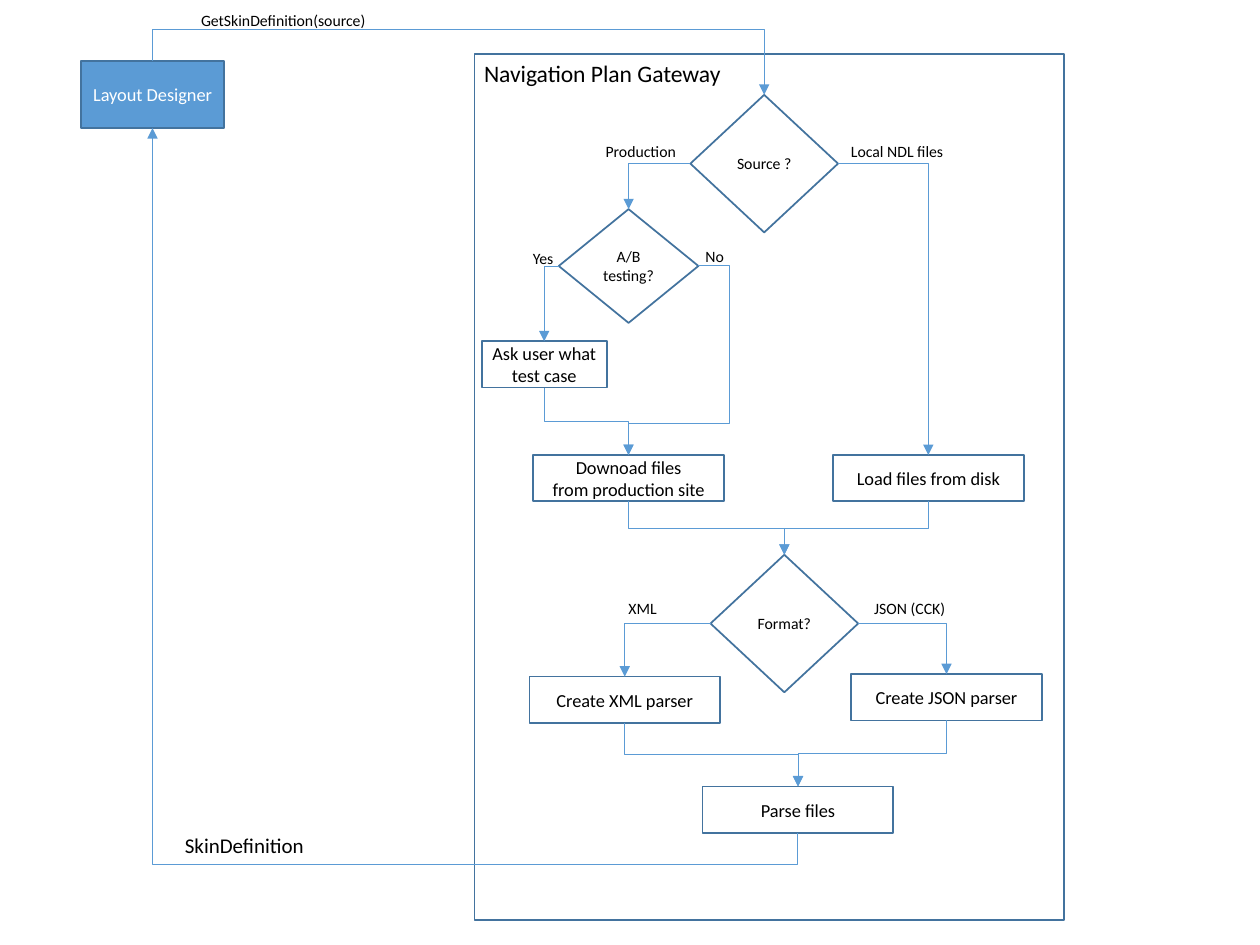
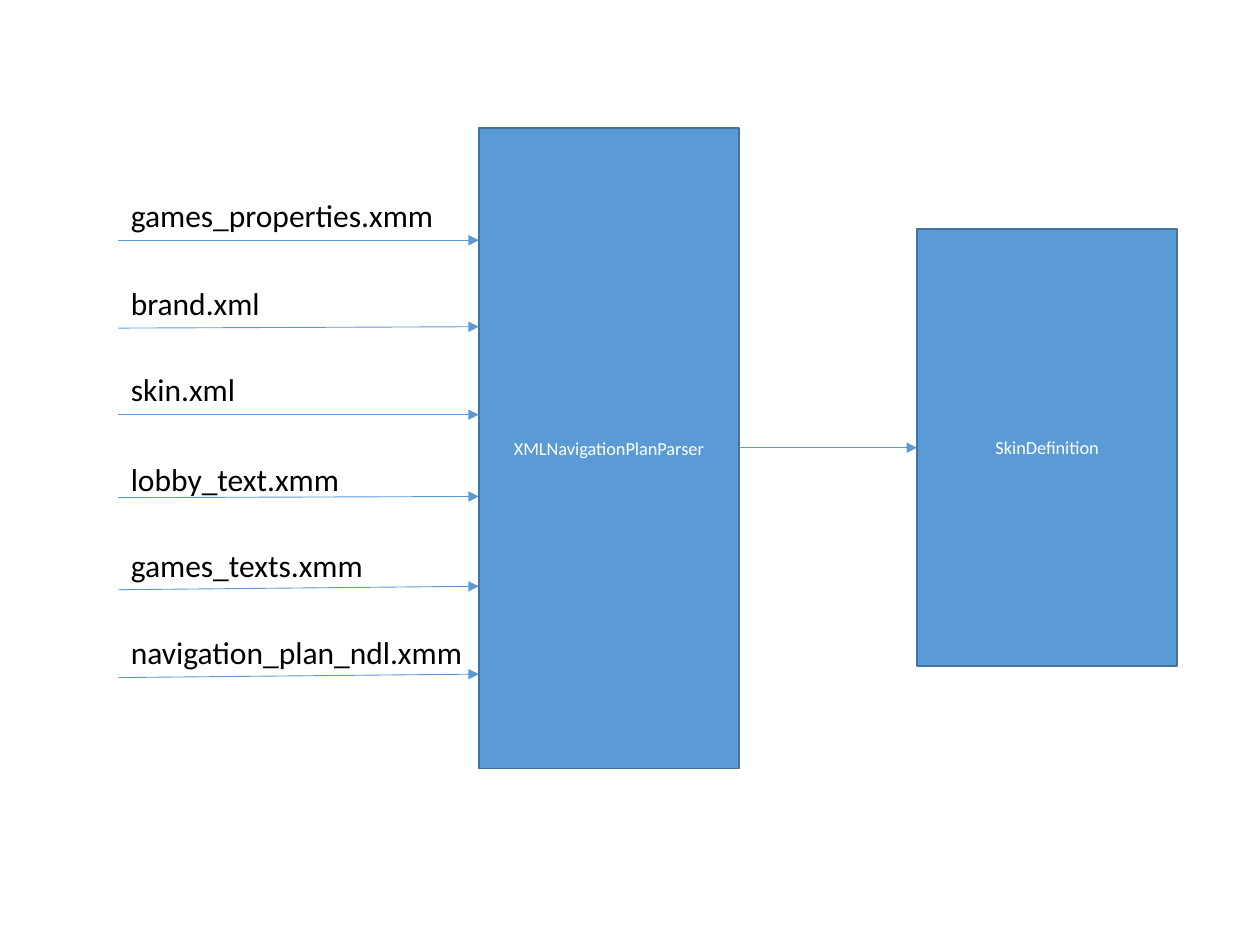
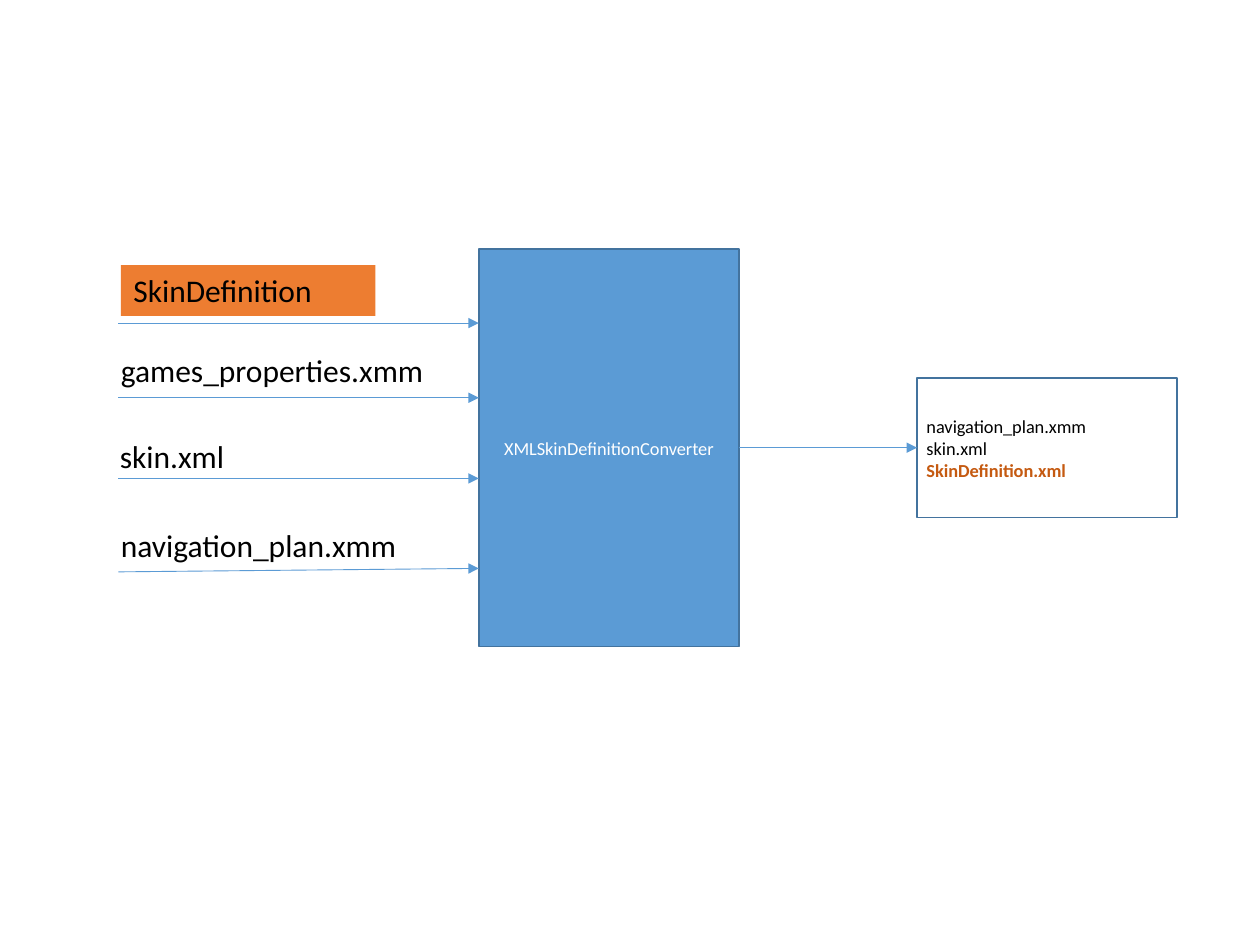
from lxml import etree
from pptx import Presentation
from pptx import util as u
from pptx.dml.color import RGBColor
from pptx.enum import shapes, text
from pptx.oxml.ns import qn

Pt = u.Pt
COLORS = {
    "blue": "5B9BD5", "outline": "43739E", "orange": "ED7D31",
    "rust": "C55A11", "black": "000000", "white": "FFFFFF",
}
RGB = {name: RGBColor.from_string(value) for name, value in COLORS.items()}
RECTANGLE = shapes.MSO_SHAPE.RECTANGLE
DIAMOND = shapes.MSO_SHAPE.DIAMOND
TOP, LEFT, BOTTOM, RIGHT = range(4)  # connection sites

presentation = Presentation()
presentation.slide_width, presentation.slide_height = Pt(720), Pt(540)
blank = presentation.slide_layouts[6]


def add_text_shape(slide, kind, words, place, size, fill=None, centred=True):
    """Add an outlined shape, or a plain label when kind is None."""
    left, top, width, height = map(Pt, place)
    if kind is None:
        shape = slide.shapes.add_textbox(left, top, width, height)
    else:
        shape = slide.shapes.add_shape(kind, left, top, width, height)
        shape.shadow.inherit = False
        shape.line.color.rgb = RGB["outline"]
        shape.line.width = Pt(1)
        shape.fill.background()
    if fill:
        shape.fill.solid()
        shape.fill.fore_color.rgb = RGB[fill]
    frame = shape.text_frame
    frame.text = words
    frame.word_wrap = kind is not None
    if kind is None:
        frame.auto_size = text.MSO_AUTO_SIZE.SHAPE_TO_FIT_TEXT
    else:
        frame.margin_left = frame.margin_right = Pt(5.4)
        frame.margin_top = frame.margin_bottom = Pt(2.7)
        frame.vertical_anchor = text.MSO_ANCHOR.MIDDLE
    for paragraph in frame.paragraphs:
        in_middle = kind is not None and centred
        paragraph.alignment = text.PP_ALIGN.CENTER if in_middle else text.PP_ALIGN.LEFT
        paragraph.font.name = "Calibri"
        paragraph.font.size = Pt(size)
        paragraph.font.color.rgb = RGB["white" if fill == "blue" else "black"]
    return shape


def add_arrow(slide, kind, start=(0, 0), end=(0, 0)):
    connector = slide.shapes.add_connector(kind, *map(Pt, start + end))
    connector.line.color.rgb = RGB["blue"]
    connector.line.width = Pt(0.5)
    properties = connector._element.spPr
    etree.SubElement(properties.find(qn("a:ln")), qn("a:tailEnd"), type="triangle")
    etree.SubElement(properties, qn("a:effectLst"))
    return connector


# Slide 1: flowchart
slide = presentation.slides.add_slide(blank)
gateway = add_text_shape(slide, RECTANGLE, "Navigation Plan Gateway",
                         (271.2, 31, 337, 494.6), 13.5, centred=False)
gateway.text_frame.vertical_anchor = text.MSO_ANCHOR.TOP

step, decision = (109, 26.5), (84.4, 78.6)
nodes = {}
for name, kind, words, centre, top, (width, height), size, fill in [
    ("designer", RECTANGLE, "Layout Designer", 87.2, 34.8, (81.6, 38.4), 10.5, "blue"),
    ("source", DIAMOND, "Source ?", 436.7, 54.2, decision, 9, None),
    ("testing", DIAMOND, "A/B testing?", 359.2, 119.5, (79.8, 65), 9, None),
    ("ask", RECTANGLE, "Ask user what\ntest case", 311, 195, (71.4, 26.5), 10.5, None),
    ("download", RECTANGLE, "Downoad files\nfrom production site", 359.2, 260, step, 10.5, None),
    ("load", RECTANGLE, "Load files from disk", 530.5, 260, step, 10.5, None),
    ("format", DIAMOND, "Format?", 448.2, 317, decision, 9, None),
    ("xml", RECTANGLE, "Create XML parser", 357, 386.6, step, 10.5, None),
    ("json", RECTANGLE, "Create JSON parser", 540.9, 385.2, step, 10.5, None),
    ("parse", RECTANGLE, "Parse files", 456, 449.4, step, 10.5, None),
]:
    place = (centre - width / 2, top, width, height)
    nodes[name] = add_text_shape(slide, kind, words, place, size, fill)

# Elbow arrows: bends are percentages of the way from start to end
for start, start_site, end, end_site, bends in [
    ("designer", TOP, "source", TOP, [-94]),
    ("source", LEFT, "testing", TOP, []),
    ("source", RIGHT, "load", TOP, []),
    ("testing", LEFT, "ask", TOP, []),
    ("testing", RIGHT, "download", TOP, [-45.2, 83.1]),
    ("ask", BOTTOM, "download", TOP, [50]),
    ("download", BOTTOM, "format", TOP, [50]),
    ("load", BOTTOM, "format", TOP, [50]),
    ("format", LEFT, "xml", TOP, []),
    ("format", RIGHT, "json", TOP, []),
    ("xml", BOTTOM, "parse", TOP, [50]),
    ("json", BOTTOM, "parse", TOP, [50]),
    ("parse", BOTTOM, "designer", BOTTOM, [-4.5]),
]:
    connector = add_arrow(slide, shapes.MSO_CONNECTOR.ELBOW)
    connector.begin_connect(nodes[start], start_site)
    connector.end_connect(nodes[end], end_site)
    across = connector.end_x - connector.begin_x
    down = connector.end_y - connector.begin_y
    middle_x = (connector.begin_x + connector.end_x) / 2
    middle_y = (connector.begin_y + connector.end_y) / 2
    width, height = abs(across), abs(down)
    rotation, flip_h, flip_v = 0, False, False
    if len(bends) == 1:  # leaves vertically, so the box is turned
        width, height = height, width
        rotation = 270 if across > 0 else 90
        flip_h = (across > 0) == (down > 0)
    elif across < 0 and bends:
        flip_h = True
    elif across < 0:
        rotation, flip_v = 180, True
    transform = connector._element.spPr.xfrm
    transform.rot, transform.flipH, transform.flipV = rotation, flip_h, flip_v
    transform.off.x, transform.off.y = int(middle_x - width / 2), int(middle_y - height / 2)
    transform.ext.cx, transform.ext.cy = width, height
    geometry = connector._element.spPr.find(qn("a:prstGeom"))
    geometry.set("prst", f"bentConnector{len(bends) + 2}")
    for number, bend in enumerate(bends, 1):
        guide = "adj" if len(bends) == 1 else f"adj{number}"
        if len(bends) == 1:
            guide = "adj1"
        etree.SubElement(geometry.find(qn("a:avLst")), qn("a:gd"),
                         name=guide, fmla=f"val {round(bend * 1000)}")

# Branch labels
for words, left, top, width, size, wraps in [
    ("GetSkinDefinition(source)", 107.8, 2.5, 163.4, 9, True),
    ("Production", 339, 77.6, 55.4, 9, False),
    ("Local NDL files", 479.2, 77.6, 67.7, 9, False),
    ("Yes", 297.4, 138.6, 27.4, 9, False),
    ("No", 396, 137.6, 25.2, 9, False),
    ("XML", 352, 338.6, 31, 9, False),
    ("JSON (CCK)", 492.5, 338.6, 55.4, 9, False),
    ("SkinDefinition", 98.6, 472.4, 163.4, 12, True),
]:
    label = add_text_shape(slide, None, words, (left, top, width, size * 1.2 + 7.2), size)
    label.text_frame.word_wrap = wraps

# Slides 2 and 3: input files, converter, output
# Input: label, left, top, width, fill, arrow start height, arrow end height
conversions = [
    ("XMLNavigationPlanParser", 73.2, 366, [
        ("games_properties.xmm", 67.7, 108.3, 189.4, None, 137.3, 137.3),
        ("brand.xml", 67.7, 158.5, 89.3, None, 187.5, 186.7),
        ("skin.xml", 67.7, 207.7, 74.9, None, 237, 237),
        ("lobby_text.xmm", 67.7, 259.4, 134.6, None, 284.4, 283.7),
        ("games_texts.xmm", 67.7, 308.5, 148.3, None, 337, 335),
        ("navigation_plan_ndl.xmm", 67.7, 358.2, 206, None, 387.2, 385.2),
    ], "SkinDefinition", 131, 249.6, "blue"),
    ("XMLSkinDefinitionConverter", 142.4, 227, [
        ("SkinDefinition", 69.1, 151.5, 145.4, "orange", 184.6, 184.6),
        ("games_properties.xmm", 62, 197, 189.4, None, 227.3, 227.3),
        ("skin.xml", 61.4, 246.2, 74.9, None, 273.4, 273.4),
        ("navigation_plan.xmm", 62, 297, 177.8, None, 326.8, 324.8),
    ], "navigation_plan.xmm\nskin.xml\nSkinDefinition.xml", 216, 79.8, None),
]
STRAIGHT = shapes.MSO_CONNECTOR.STRAIGHT
for converter, top, height, inputs, result, result_top, result_height, result_fill in conversions:
    slide = presentation.slides.add_slide(blank)
    add_text_shape(slide, RECTANGLE, converter, (273.6, top, 148.8, height), 10.5, "blue")
    for words, left, label_top, width, fill, start_y, end_y in inputs:
        add_arrow(slide, STRAIGHT, (67.7, start_y), (273.6, end_y))
        label = add_text_shape(slide, None, words, (left, label_top, width, 29), 18, fill)
        label.text_frame.word_wrap = fill is not None
    output = add_text_shape(slide, RECTANGLE, result, (524, result_top, 148.8, result_height),
                            10.5, result_fill, centred=result_fill is not None)
    add_arrow(slide, STRAIGHT, (422.4, 255.8), (524, 255.8))

# The new file stands out in the last output
new_file = output.text_frame.paragraphs[-1]
new_file.font.bold = True
new_file.font.color.rgb = RGB["rust"]

presentation.save("out.pptx")
